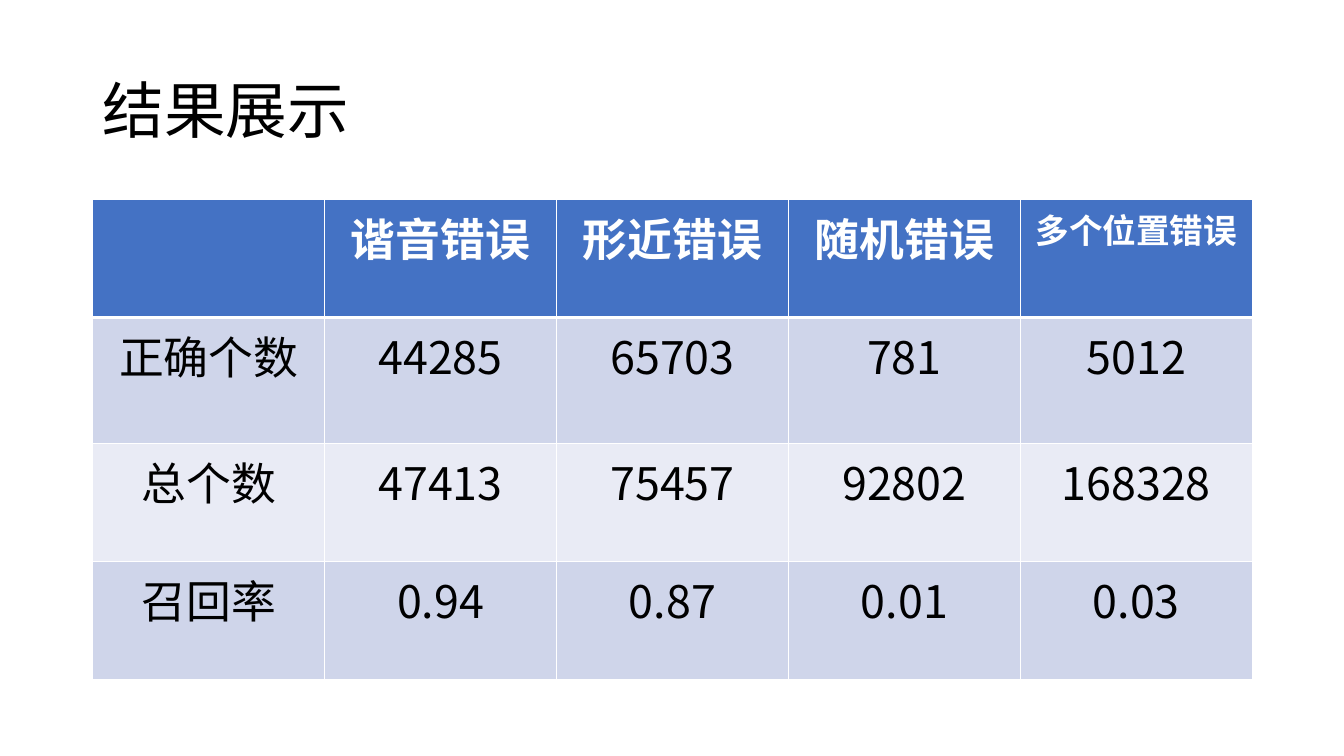
from lxml.etree import SubElement
from pptx import Presentation
from pptx.dml.color import RGBColor
from pptx.enum.text import MSO_ANCHOR, PP_ALIGN
from pptx.oxml.ns import qn
from pptx.util import Inches, Pt

HEADERS = ["", "谐音错误", "形近错误", "随机错误", "多个位置错误"]
RESULTS = [
    ["正确个数", "44285", "65703", "781", "5012"],
    ["总个数", "47413", "75457", "92802", "168328"],
    ["召回率", "0.94", "0.87", "0.01", "0.03"],
]
ROW_HEIGHTS = [1.17, 1.25, 1.17, 1.17]


def color(value):
    return RGBColor.from_string(value)


class ResultSlide:
    font = "Noto Sans CJK SC"
    black = "000000"
    white = "FFFFFF"
    header_fill = "4472C4"
    band_fills = ["CFD5EA", "E9EBF5"]

    def __init__(self, deck):
        self.page = deck.slides.add_slide(deck.slide_layouts[6])

    def text(self, frame, text, size, ink, bold=False, align=PP_ALIGN.LEFT):
        para = frame.paragraphs[0]
        para.text = text
        para.alignment = align
        para.font.name = self.font
        para.font.size = Pt(size)
        para.font.bold = bold
        para.font.color.rgb = color(ink)
        defaults = para._p.pPr.find(qn("a:defRPr"))
        SubElement(defaults, qn("a:ea"), typeface=self.font)
        return para

    def title(self, text):
        box = self.page.shapes.add_textbox(Inches(0.92), Inches(0.4), Inches(11.5), Inches(1.45))
        frame = box.text_frame
        frame.word_wrap = True
        frame.vertical_anchor = MSO_ANCHOR.MIDDLE
        self.text(frame, text, 44, self.black).line_spacing = 0.9

    def borders(self, cell, widths):
        properties = cell._tc.get_or_add_tcPr()
        for side, width in zip(("L", "R", "T", "B"), widths):
            line = SubElement(properties, qn(f"a:ln{side}"), w=str(Pt(width)))
            fill = SubElement(line, qn("a:solidFill"))
            SubElement(fill, qn("a:srgbClr"), val=self.white)

    def cell(self, cell, text, size, ink, fill, bold, widths):
        self.borders(cell, widths)
        cell.fill.solid()
        cell.fill.fore_color.rgb = color(fill)
        if text:
            self.text(cell.text_frame, text, size, ink, bold, PP_ALIGN.CENTER)

    def table(self, headers, results, heights):
        table = self.page.shapes.add_table(
            len(heights), len(headers), Inches(0.92), Inches(1.98), Inches(11.5), Inches(sum(heights))
        ).table
        for row, height in zip(table.rows, heights):
            row.height = Inches(height)
        for column, text in enumerate(headers):
            size = 24 if len(text) > 4 else 32
            self.cell(table.cell(0, column), text, size, self.white, self.header_fill, True, (1, 1, 1, 3))
        for index, values in enumerate(results):
            fill = self.band_fills[index % 2]
            widths = (1, 1, 1 if index else 3, 1)
            for column, text in enumerate(values):
                self.cell(table.cell(index + 1, column), text, 32, self.black, fill, False, widths)


def main():
    deck = Presentation()
    deck.slide_width = Inches(13.33)
    deck.slide_height = Inches(7.5)
    slide = ResultSlide(deck)
    slide.title("结果展示")
    slide.table(HEADERS, RESULTS, ROW_HEIGHTS)
    deck.save("out.pptx")


if __name__ == "__main__":
    main()
